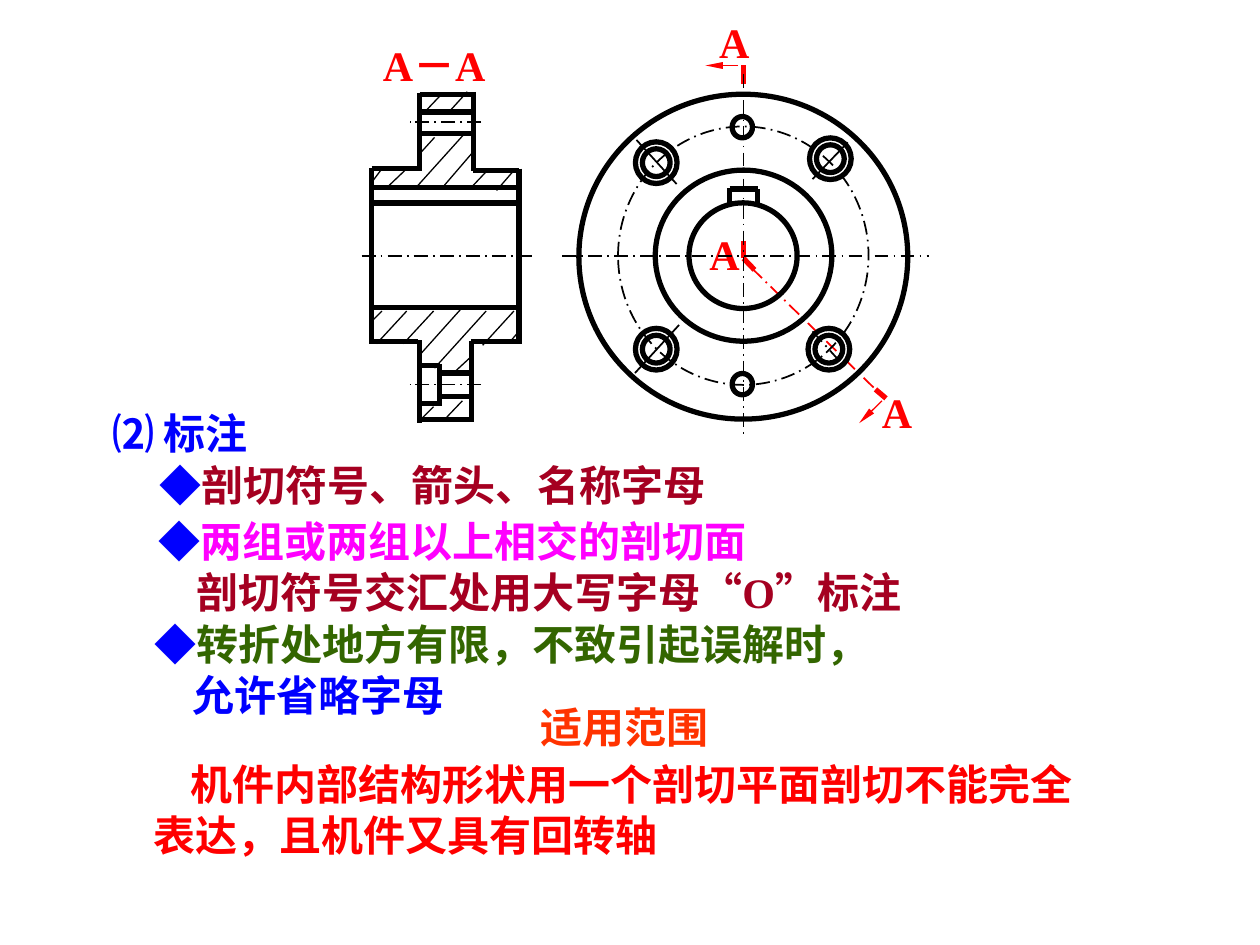
from lxml import etree
from pptx import Presentation
from pptx.dml.color import RGBColor
from pptx.enum.dml import MSO_LINE
from pptx.enum.shapes import MSO_CONNECTOR, MSO_SHAPE
from pptx.enum.text import MSO_AUTO_SIZE
from pptx.oxml.ns import qn
from pptx.util import Cm, Pt

STRAIGHT = MSO_CONNECTOR.STRAIGHT
OVAL = MSO_SHAPE.OVAL
DASH = MSO_LINE.LONG_DASH_DOT
GROW = MSO_AUTO_SIZE.SHAPE_TO_FIT_TEXT
LATIN, EAST = "Times New Roman", "Noto Sans CJK SC"
THIN, AXIS, THICK = 0.75, 1, 3
COLORS = {
    "black": "000000", "red": "FF0000", "blue": "0000FF", "wine": "A50021",
    "pink": "FF00FF", "green": "336600", "orange": "FF3300",
}

HATCHES = [
    (0.41, 0.15, 0.56, -0.01), (0.6, 0.15, 0.76, -0.02), (0, 0.7, 0.08, 0.59),
    (0.38, 0.47, 0.5, 0.34), (0.12, 0.74, 0.28, 0.59), (0.34, 0.75, 0.74, 0.31),
    (0.56, 0.74, 0.8, 0.46), (0.78, 0.75, 0.92, 0.6), (0.99, 0.76, 1.14, 0.59),
    (0.04, 1.98, 0.28, 1.72), (0.01, 1.79, 0.08, 1.72), (0.25, 1.98, 0.49, 1.72),
    (0.37, 2.08, 0.71, 1.7), (0.5, 2.17, 0.91, 1.72), (0.65, 2.21, 0.8, 2.07),
    (0.88, 1.99, 1.13, 1.72), (1.1, 1.96, 1.17, 1.88), (0.38, 2.59, 0.49, 2.48),
    (0.57, 2.59, 0.72, 2.43), (0.76, 2.59, 0.78, 2.57),
]
SECTION_EDGES = [
    (0.38, 0, 0.8, 0), (0.38, 2.58, 0.8, 2.58),
    (0.81, -0.02, 0.81, 0.61), (0.38, -0.01, 0.38, 0.61),
    (0.79, 1.96, 0.79, 2.6), (0.38, 1.95, 0.38, 2.61),
    (0.79, 1.96, 1.18, 1.96), (0.8, 0.6, 1.17, 0.6), (1.17, 0.59, 1.17, 1.98),
    (0, 1.96, 0.37, 1.96), (0, 0.59, 0.37, 0.59), (0, 0.58, 0, 1.98),
    (0.54, 2.14, 0.54, 2.47),
]
EDGE_ROWS = [
    (0.38, 0.8, (0.14, 0.31)), (0.38, 0.54, (2.15, 2.45)),
    (0.54, 0.8, (2.21, 2.4)), (0.01, 1.17, (0.74, 0.86, 1.69)),
]
BOLTS = [(-0.69, -0.74), (0.69, -0.77), (-0.69, 0.74), (0.68, 0.74)]


def inch(value):
    """Turn a drawing length in inches into a slide length."""
    return Cm(round(value * 2.54, 2))


def color(name):
    """Look up a named colour."""
    return RGBColor.from_string(COLORS[name])


def add_line(s, box, ends, width=THICK, tint="black", dash=None, arrow=False):
    """Draw a straight line whose ends are relative to the box origin."""
    x, y = box
    x1, y1, x2, y2 = ends
    line = s.shapes.add_connector(
        STRAIGHT, inch(x + x1), inch(y + y1), inch(x + x2), inch(y + y2))
    line.line.width = Pt(width)
    line.line.color.rgb = color(tint)
    if dash:
        line.line.dash_style = dash
    if arrow:
        ln = line.line._get_or_add_ln()
        etree.SubElement(ln, qn("a:tailEnd"), type="triangle", w="sm", len="lg")
    etree.SubElement(line._element.spPr, qn("a:effectLst"))


def add_circle(s, box, center, width, height, weight=THICK, dash=None):
    """Draw an unfilled circle about a centre relative to the box origin."""
    left, top = box[0] + center[0] - width / 2, box[1] + center[1] - height / 2
    sp = s.shapes.add_shape(OVAL, inch(left), inch(top), inch(width), inch(height))
    sp.shadow.inherit = False
    sp.fill.background()
    sp.line.color.rgb = color("black")
    sp.line.width = Pt(weight)
    if dash:
        sp.line.dash_style = dash


def add_text(s, box, paragraphs, wrap=True, indents=(0, 0), latin=LATIN):
    """Place paragraphs of (text, colour) runs in a box."""
    tf = s.shapes.add_textbox(*map(inch, box)).text_frame
    tf.word_wrap = wrap
    tf.auto_size = GROW
    for i, (runs, indent) in enumerate(zip(paragraphs, indents)):
        p = tf.paragraphs[0] if i == 0 else tf.add_paragraph()
        p.line_spacing = Pt(29)
        if indent:
            p._p.get_or_add_pPr().set("indent", str(Cm(indent)))
        for text, tint in runs:
            r = p.add_run()
            r.text = text
            r.font.size = Pt(24)
            r.font.bold = True
            r.font.name = latin
            r.font.color.rgb = color(tint)
            etree.SubElement(r._r.get_or_add_rPr(), qn("a:ea"), typeface=EAST)


def add_section_view(s, box):
    """Draw the hatched section A-A from the box origin."""
    add_text(s, (box[0] - 0.01, box[1] - 0.49, 1.18, 0.5), [[("A－A", "red")]], wrap=False)
    for ends in HATCHES:
        add_line(s, box, ends, THIN)
    rows = [(x1, y, x2, y) for x1, x2, ys in EDGE_ROWS for y in ys]
    for ends in SECTION_EDGES + rows:
        add_line(s, box, ends)
    for x1, x2, y in [(-0.08, 1.27, 1.28), (0.87, 0.3, 0.22), (0.87, 0.3, 2.3)]:
        add_line(s, box, (x1, y, x2, y), AXIS, dash=DASH)


def add_cutting_marks(s, box):
    """Draw the red cutting symbols, arrows and letters about the centre."""
    for x, y in [(-0.29, -1.95), (1, 0.99), (-0.37, -0.27)]:
        add_text(s, (box[0] + x, box[1] + y, 0.44, 0.5), [[("A", "red")]], wrap=False)
    for ends in [(-0.04, -1.51, -0.3, -1.51), (1.1, 1.15, 0.92, 1.33)]:
        add_line(s, box, ends, THIN, "red", arrow=True)
    for ends in [(0, 0.02, 0.09, 0.11), (0, -1.51, 0, -1.36),
                 (0, -0.12, 0, 0.02), (1.05, 1.06, 1.13, 1.13)]:
        add_line(s, box, ends, THICK, "red")
    add_line(s, box, (0.07, 0.1, 1.05, 1.06), AXIS, "red", DASH)


def add_front_view(s, box):
    """Draw the round flange about its centre."""
    add_cutting_marks(s, box)
    add_circle(s, box, (0, 0.01), 2.61, 2.58)
    add_circle(s, box, (0, 0), 1.99, 2.05, AXIS, DASH)
    add_circle(s, box, (0, 0), 1.4, 1.36)
    add_circle(s, box, (0, 0), 0.86, 0.84)
    for center in BOLTS:
        for size in (0.33, 0.22):
            add_circle(s, box, center, size, size)
    for y in (-1.02, 1.02):
        add_circle(s, box, (-0.01, y), 0.16, 0.17)
    for ends in [(-0.11, -0.4, -0.11, -0.54), (0.11, -0.4, 0.11, -0.53),
                 (-0.11, -0.53, 0.12, -0.53)]:
        add_line(s, box, ends)
    for ends in [(0.55, -0.61, 0.83, -0.9), (-0.53, -0.57, -0.85, -0.92),
                 (-0.51, 0.55, -0.86, 0.93)]:
        add_line(s, box, ends, AXIS)
    for ends in [(-1.44, 0, 1.47, 0), (0, -1.44, 0, 1.42), (0.55, 0.6, 0.82, 0.9)]:
        add_line(s, box, ends, AXIS, dash=DASH)


def add_notes_text(s, box):
    """Write the labelling rules and the scope of use from the box origin."""
    x, y = box
    mark = ("◆", "blue")
    add_text(s, (x + 3.4, y + 2.33, 2.46, 0.5), [[("适用范围", "orange")]], latin=EAST)
    add_text(s, (x + 0.33, y + 2.79, 8.47, 0.9),
             [[("机件内部结构形状用一个剖切平面剖切不能完全", "red")],
              [("表达，且机件又具有回转轴", "red")]], indents=(0.76, 0), latin=EAST)
    add_text(s, (x, y, 1.74, 0.5), [[("⑵ 标注", "blue")]])
    add_text(s, (x + 0.38, y + 0.42, 5.18, 0.5), [[mark, ("剖切符号、箭头、名称字母", "wine")]])
    add_text(s, (x + 0.34, y + 1.68, 7.06, 0.9),
             [[mark, ("转折处地方有限，不致引起误解时，", "green")],
              [("允许省略字母", "blue")]], indents=(0, 0.76))
    add_text(s, (x + 0.37, y + 0.86, 6.52, 0.9),
             [[mark, ("两组或两组以上相交的剖切面", "pink")],
              [("剖切符号交汇处用大写字母“O”标注", "wine")]], indents=(0, 0.76))


def main():
    """Build and save the slide."""
    prs = Presentation()
    prs.slide_width, prs.slide_height = Cm(25.4), Cm(19.05)
    s = prs.slides.add_slide(prs.slide_layouts[6])
    add_section_view(s, (2.95, 0.75))
    add_front_view(s, (5.9, 2.03))
    add_notes_text(s, (0.79, 3.18))
    prs.save("out.pptx")


if __name__ == "__main__":
    main()
